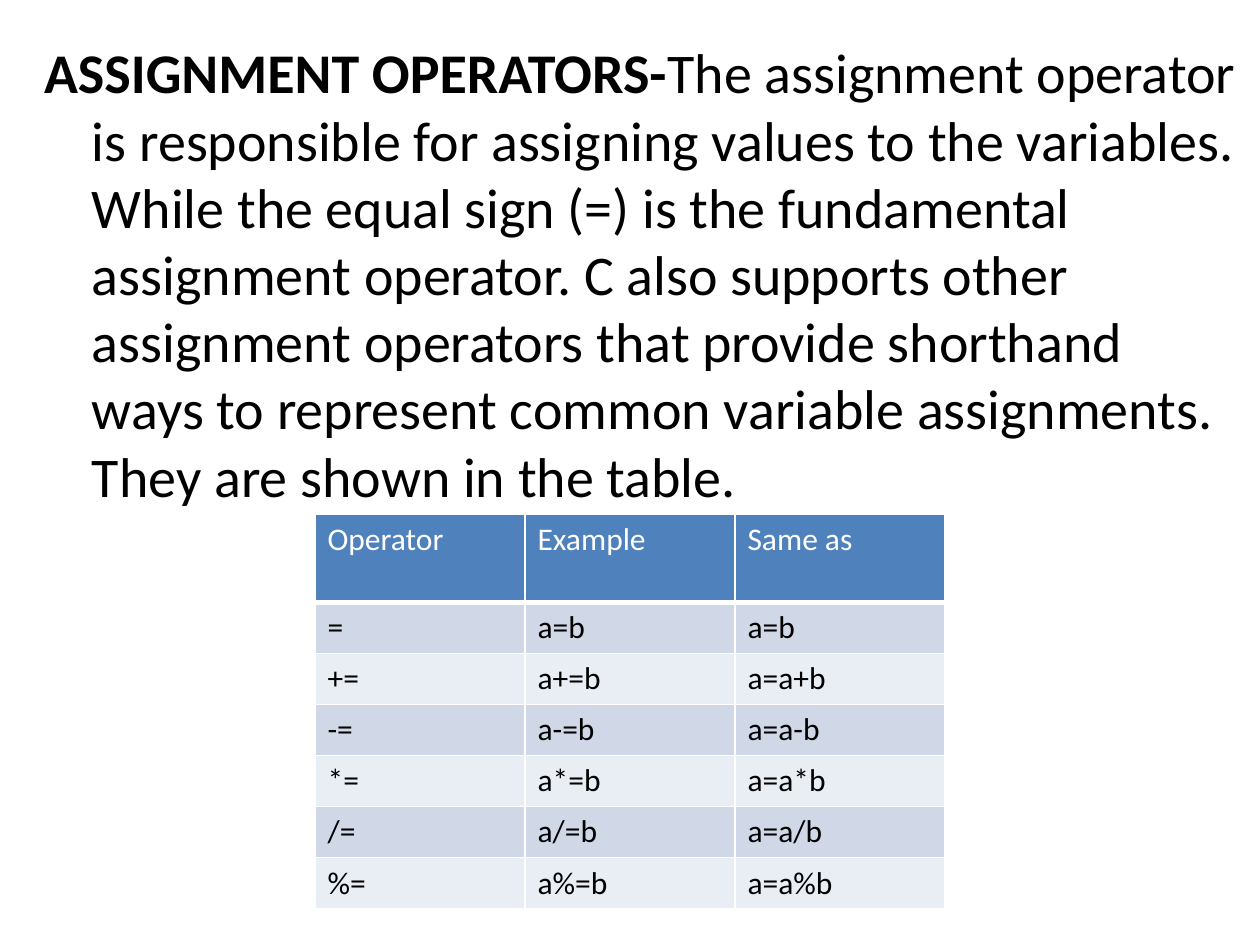
from lxml import etree
from pptx import Presentation
from pptx.dml.color import RGBColor
from pptx.oxml.ns import qn
from pptx.util import Inches, Pt

BLACK = RGBColor(0x00, 0x00, 0x00)
WHITE = RGBColor(0xFF, 0xFF, 0xFF)
HEADER = RGBColor(0x4F, 0x81, 0xBD)
BANDS = [RGBColor(0xE9, 0xED, 0xF4), RGBColor(0xD0, 0xD8, 0xE8)]


def set_borders(cell, header):
    """Draw white cell borders, with a heavier line under the header."""
    tcPr = cell._tc.get_or_add_tcPr()
    for i, side in enumerate(("lnL", "lnR", "lnT", "lnB")):
        width = Pt(3) if header and side == "lnB" else Pt(1)
        ln = etree.Element(qn(f"a:{side}"), w=str(width))
        fill = etree.SubElement(ln, qn("a:solidFill"))
        etree.SubElement(fill, qn("a:srgbClr"), val=str(WHITE))
        tcPr.insert(i, ln)


prs = Presentation()
prs.slide_width, prs.slide_height = Inches(10), Inches(7.5)
slide = prs.slides.add_slide(prs.slide_layouts[1])
title = slide.shapes.title
title._element.getparent().remove(title._element)

# Explanation with a hanging indent
body = slide.placeholders[1]
body.left, body.top = Inches(0.25), Inches(0.25)
body.width, body.height = Inches(9.75), Inches(7.25)
p = body.text_frame.paragraphs[0]
p.font.size, p.font.name, p.font.color.rgb = Pt(32), "Calibri", BLACK
pPr = p._p.get_or_add_pPr()
pPr.set("marL", str(Inches(0.38)))
pPr.set("indent", str(-Inches(0.38)))
pPr.insert(0, etree.Element(qn("a:buNone")))
r = p.add_run()
r.text = "ASSIGNMENT OPERATORS-"
r.font.bold = True
r = p.add_run()
r.text = (
    "The assignment operator is responsible for assigning values to the variables. "
    "While the equal sign (=) is the fundamental assignment operator. C also supports "
    "other assignment operators that provide shorthand ways to represent common "
    "variable assignments. They are shown in the table."
)

# Operator table
rows = [("Operator", "Example", "Same as"), ("=", "a=b", "a=b")]
rows += [(f"{op}=", f"a{op}=b", f"a=a{op}b") for op in "+-*/%"]
table = slide.shapes.add_table(
    len(rows), 3, Inches(2.5), Inches(4.08), Inches(5), Inches(3.1)
).table
for i, values in enumerate(rows):
    header = i == 0
    table.rows[i].height = Inches(0.7 if header else 0.4)
    for j, value in enumerate(values):
        cell = table.cell(i, j)
        cell.text = value
        cell.fill.solid()
        cell.fill.fore_color.rgb = HEADER if header else BANDS[i % 2]
        set_borders(cell, header)
        font = cell.text_frame.paragraphs[0].font
        font.size, font.name, font.bold = Pt(18), "Calibri", False
        font.color.rgb = WHITE if header else BLACK

prs.save("out.pptx")
